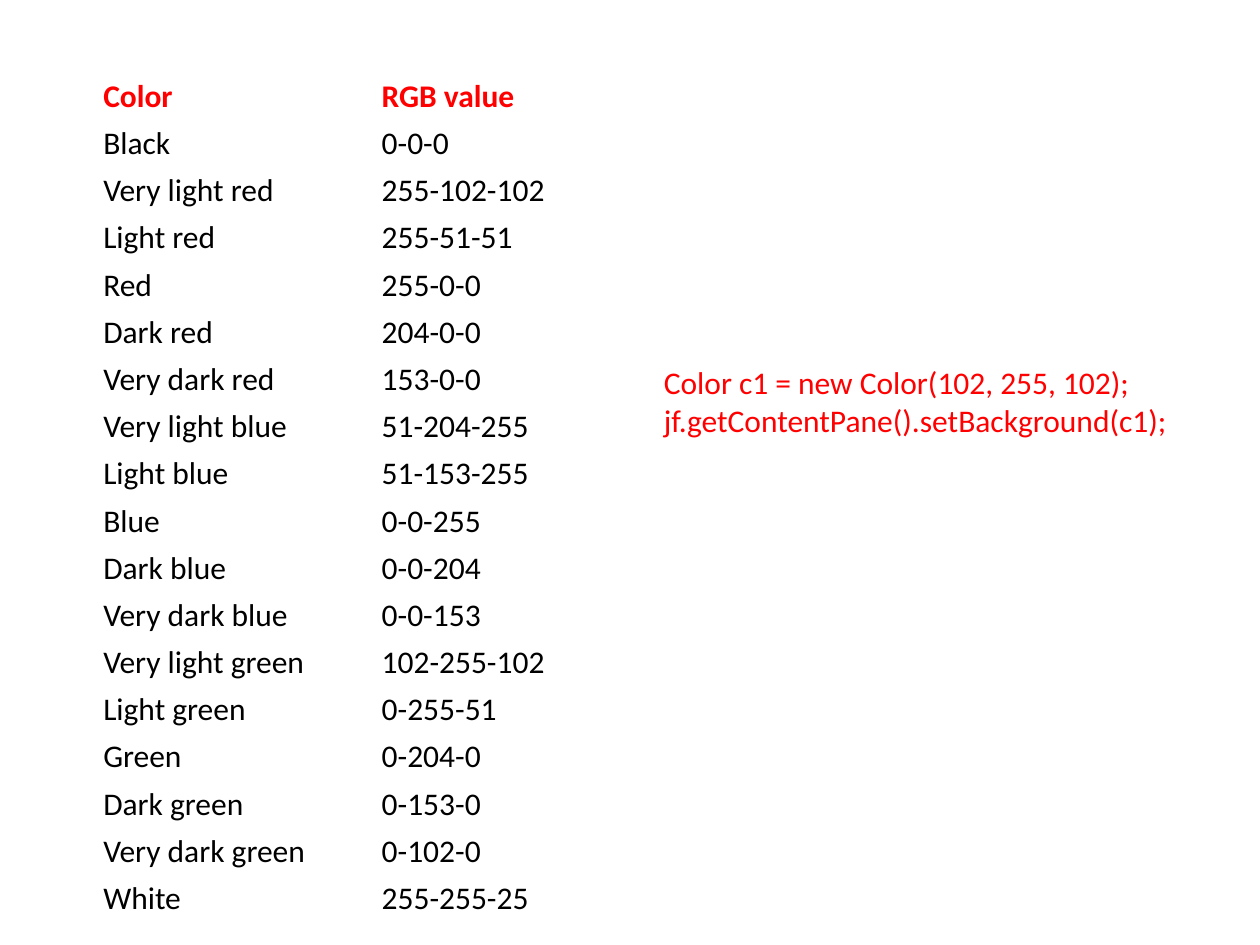
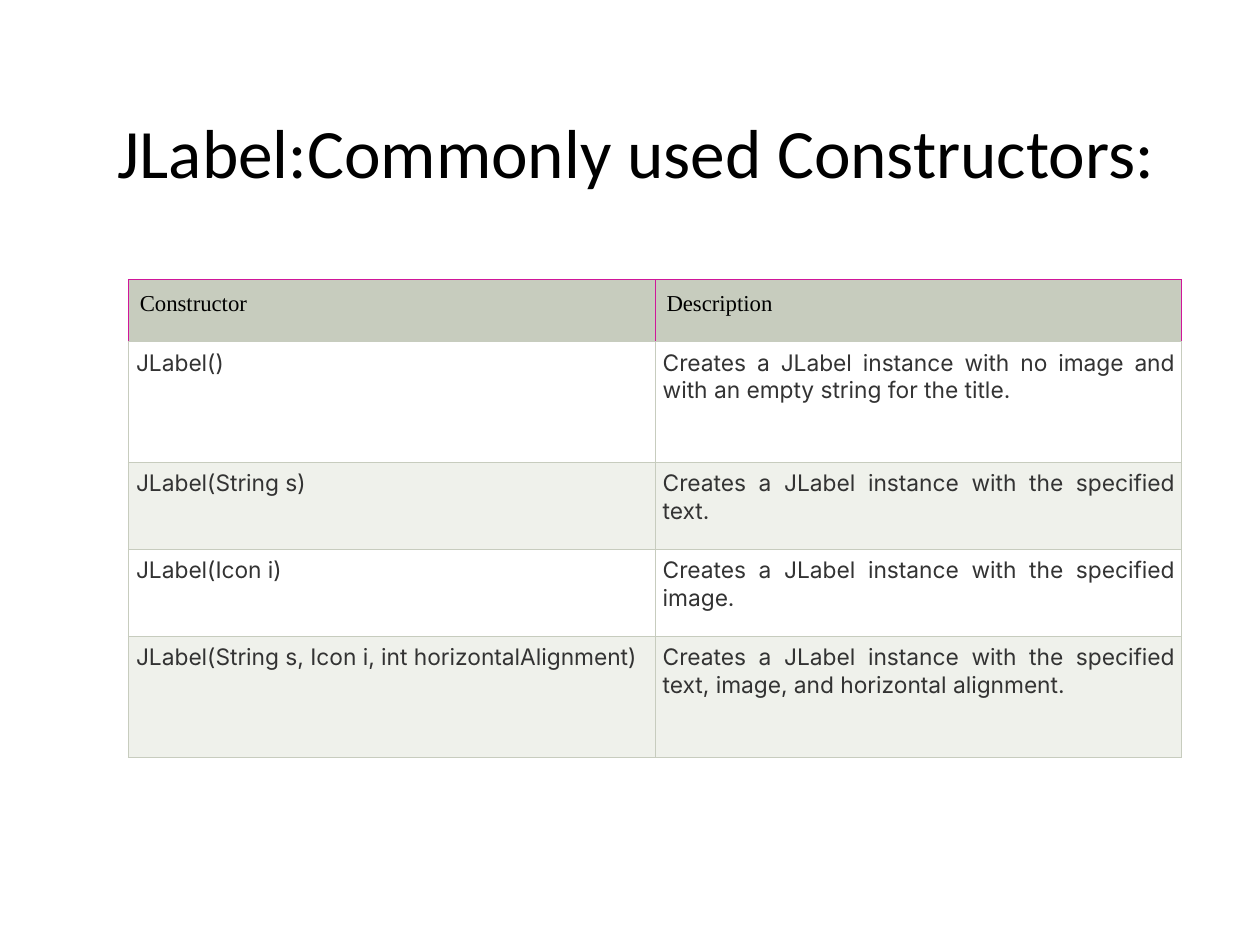
import dataclasses

import lxml.etree
import pptx
import pptx.dml.color
import pptx.enum.text
import pptx.oxml.ns
import pptx.util

Inches = pptx.util.Inches
Align = pptx.enum.text.PP_ALIGN
Anchor = pptx.enum.text.MSO_ANCHOR
qn = pptx.oxml.ns.qn


@dataclasses.dataclass(frozen=True)
class Theme:
    red: str = "FF0000"
    black: str = "000000"
    gray: str = "333333"
    sage: str = "C7CCBE"
    pale: str = "EFF1EB"
    white: str = "FFFFFF"
    magenta: str = "D0169A"
    sans: str = "Calibri"
    serif: str = "Times New Roman"
    body: str = "Inter"
    title_size: float = 39.6
    text_size: float = 18
    table_size: float = 13
    border_width: float = 0.75


class Deck:
    def __init__(self, theme):
        self.theme = theme
        self.prs = pptx.Presentation()
        self.prs.slide_width, self.prs.slide_height = Inches(10), Inches(7.5)
        self.s = None

    def slide(self, layout):
        self.s = self.prs.slides.add_slide(self.prs.slide_layouts.get_by_name(layout))

    def fill_text(self, tf, lines, size, name, color, bold=False, align=Align.LEFT):
        tf.word_wrap = True
        for i, line in enumerate(lines):
            p = tf.paragraphs[0] if i == 0 else tf.add_paragraph()
            p.alignment = align
            r = p.add_run()
            r.text = line
            for key, value in dict(size=pptx.util.Pt(size), name=name, bold=bold).items():
                setattr(r.font, key, value)
            r.font.color.rgb = pptx.dml.color.RGBColor.from_string(color)

    def title(self, text, left, top, width, height):
        sp = self.s.shapes.title
        place = dict(left=left, top=top, width=width, height=height)
        for key, value in place.items():
            setattr(sp, key, Inches(value))
        tf = sp.text_frame
        tf.vertical_anchor = Anchor.BOTTOM
        tf.margin_bottom = 0
        t = self.theme
        self.fill_text(tf, [text], t.title_size, t.sans, t.black, align=Align.CENTER)

    def text(self, lines, left, top, width, height, color):
        sp = self.s.shapes.add_textbox(*map(Inches, (left, top, width, height)))
        self.fill_text(sp.text_frame, lines, self.theme.text_size, self.theme.sans, color)

    def border(self, cell, colors):
        tcPr = cell._tc.get_or_add_tcPr()
        for i, (side, color) in enumerate(zip("LRTB", colors)):
            ln = lxml.etree.Element(qn("a:ln" + side), w=str(pptx.util.Pt(self.theme.border_width)))
            fill = lxml.etree.SubElement(ln, qn("a:solidFill"))
            lxml.etree.SubElement(fill, qn("a:srgbClr"), val=color)
            tcPr.insert(i, ln)

    def table(self, rows, left, top, col_width, heights, cell_format):
        cols = len(rows[0])
        box = map(Inches, (left, top, col_width * cols, sum(heights)))
        table = self.s.shapes.add_table(len(rows), cols, *box).table
        table.first_row = table.horz_banding = False
        for col in table.columns:
            col.width = Inches(col_width)
        for i, (row, height) in enumerate(zip(rows, heights)):
            table.rows[i].height = Inches(height)
            fmt = cell_format(i)
            for cell, text in zip(table.rows[i].cells, row):
                pad_x, pad_y = fmt["padding"]
                margins = dict(margin_left=pad_x, margin_right=pad_x,
                               margin_top=pad_y, margin_bottom=pad_y)
                for key, value in margins.items():
                    setattr(cell, key, Inches(value))
                cell.vertical_anchor = fmt["anchor"]
                if fmt["fill"]:
                    cell.fill.solid()
                    cell.fill.fore_color.rgb = pptx.dml.color.RGBColor.from_string(fmt["fill"])
                else:
                    cell.fill.background()
                if fmt["borders"]:
                    self.border(cell, fmt["borders"])
                self.fill_text(cell.text_frame, [text], **fmt["font"])


COLORS = [
    ("Color", "RGB value"),
    ("Black", "0-0-0"),
    ("Very light red", "255-102-102"),
    ("Light red", "255-51-51"),
    ("Red", "255-0-0"),
    ("Dark red", "204-0-0"),
    ("Very dark red", "153-0-0"),
    ("Very light blue", "51-204-255"),
    ("Light blue", "51-153-255"),
    ("Blue", "0-0-255"),
    ("Dark blue", "0-0-204"),
    ("Very dark blue", "0-0-153"),
    ("Very light green", "102-255-102"),
    ("Light green", "0-255-51"),
    ("Green", "0-204-0"),
    ("Dark green", "0-153-0"),
    ("Very dark green", "0-102-0"),
    ("White", "255-255-25"),
]

CONSTRUCTORS = [
    ("Constructor", "Description"),
    ("JLabel()", "Creates a JLabel instance with no image and with an empty string for the title."),
    ("JLabel(String s)", "Creates a JLabel instance with the specified text."),
    ("JLabel(Icon i)", "Creates a JLabel instance with the specified image."),
    ("JLabel(String s, Icon i, int horizontalAlignment)",
     "Creates a JLabel instance with the specified text, image, and horizontal alignment."),
]


def color_slide(deck):
    t = deck.theme

    def cell_format(row):
        font = dict(size=t.text_size, name=t.sans, bold=row == 0,
                    color=t.black if row else t.red)
        return dict(padding=(0.07, 0.03), anchor=Anchor.MIDDLE, fill=None,
                    borders=None, font=font)

    deck.slide("Blank")
    deck.table(COLORS, 0.75, 0.58, 2.21, [6.74 / len(COLORS)] * len(COLORS), cell_format)
    deck.text(["Color c1 = new Color(102, 255, 102);",
               "jf.getContentPane().setBackground(c1);"], 5.17, 2.83, 4.42, 0.71, t.red)


def constructor_slide(deck):
    t = deck.theme

    def cell_format(row):
        if row == 0:
            font = dict(size=t.table_size, name=t.serif, color=t.black)
            return dict(padding=(0.09, 0.09), anchor=Anchor.TOP, fill=t.sage,
                        borders=[t.magenta] * 3 + [t.sage], font=font)
        font = dict(size=t.table_size, name=t.body, color=t.gray, align=Align.JUSTIFY)
        return dict(padding=(0.06, 0.06), anchor=Anchor.TOP,
                    fill=t.white if row % 2 else t.pale, borders=[t.sage] * 4, font=font)

    deck.slide("Title Only")
    deck.title("JLabel:Commonly used Constructors:", 0.55, 0.23, 9, 1.3)
    deck.table(CONSTRUCTORS, 1.02, 2.22, 4.18, [0.49, 0.96, 0.69, 0.69, 0.96], cell_format)


def main():
    deck = Deck(Theme())
    color_slide(deck)
    constructor_slide(deck)
    deck.prs.save("out.pptx")


if __name__ == "__main__":
    main()
